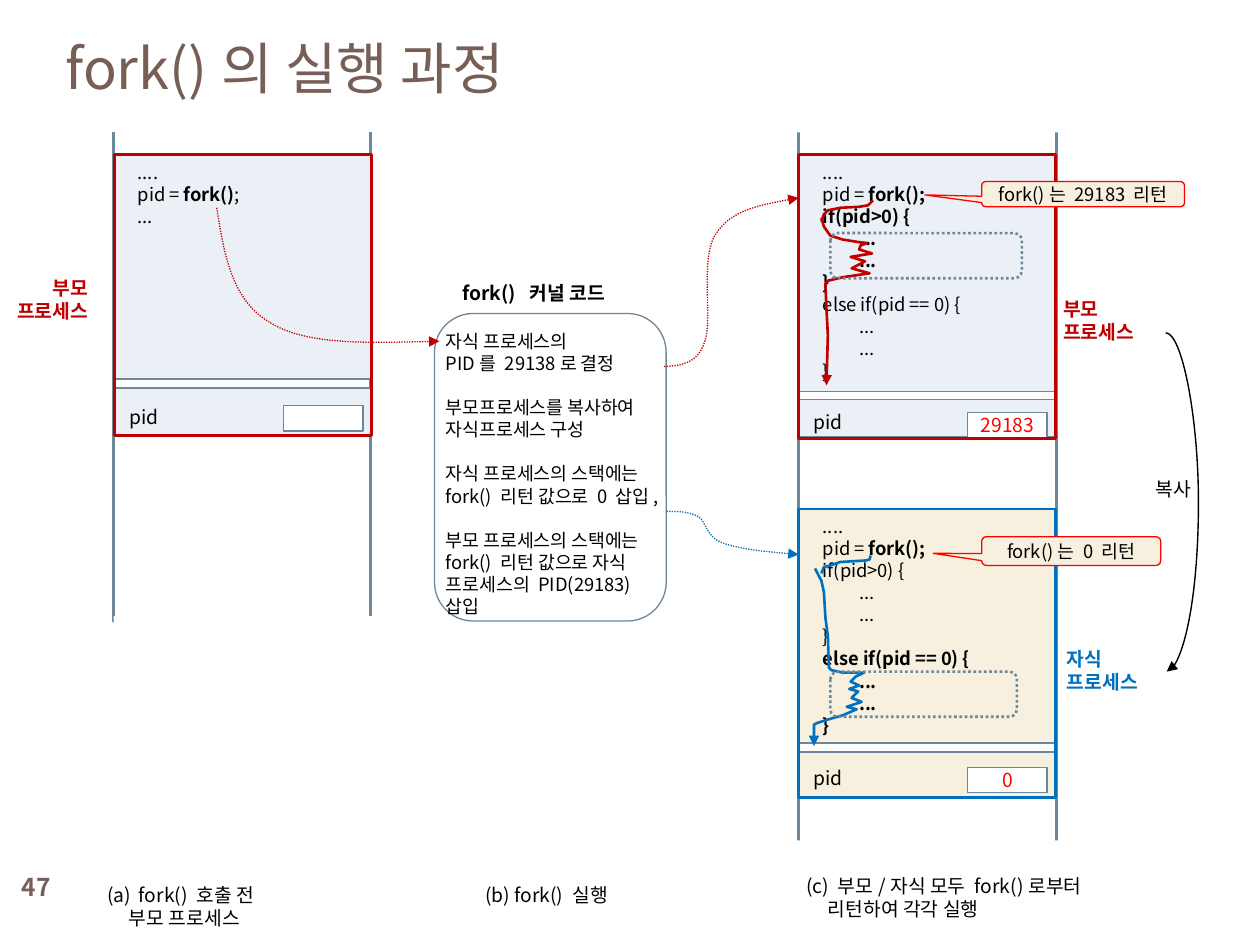
from lxml import etree
from pptx import Presentation
from pptx.dml.color import RGBColor
from pptx.enum.dml import MSO_LINE
from pptx.enum.shapes import MSO_CONNECTOR, MSO_SHAPE
from pptx.enum.text import MSO_ANCHOR, PP_ALIGN
from pptx.oxml.ns import qn
from pptx.util import Cm, Pt

FONT = "Noto Sans CJK KR"
WHITE = RGBColor(0xFF, 0xFF, 0xFF)
BLACK = RGBColor(0, 0, 0)
BROWN = RGBColor(0x77, 0x5F, 0x55)
SLATE = RGBColor(0x6D, 0x87, 0x9B)
PALE_BLUE = RGBColor(0xEA, 0xF0, 0xF6)
CREAM = RGBColor(0xF7, 0xF0, 0xDE)
DARK_RED = RGBColor(0xC0, 0, 0)
RED = RGBColor(0xFF, 0, 0)
BLUE = RGBColor(0, 0x70, 0xC0)
RECT = MSO_SHAPE.RECTANGLE
ROUND = MSO_SHAPE.ROUNDED_RECTANGLE
CALLOUT = MSO_SHAPE.ROUNDED_RECTANGULAR_CALLOUT
DOTTED = MSO_LINE.ROUND_DOT
LEFT, CENTER, RIGHT = PP_ALIGN.LEFT, PP_ALIGN.CENTER, PP_ALIGN.RIGHT
TOP, MIDDLE = MSO_ANCHOR.TOP, MSO_ANCHOR.MIDDLE

prs = Presentation()
prs.slide_width, prs.slide_height = Cm(25.4), Cm(19.05)
slide = prs.slides.add_slide(prs.slide_layouts[6])
shapes = slide.shapes


def put(text, left, top, width, height, kind=None, fill=None, line=None, weight=0.75,
        dash=None, size=11, color=BLACK, bold=False, align=LEFT, anchor=TOP,
        wrap=True, indents=(), gaps=()):
    place = Cm(left), Cm(top), Cm(width), Cm(height)
    if kind is None:
        shape = shapes.add_textbox(*place)
    else:
        shape = shapes.add_shape(kind, *place)
        shape.shadow.inherit = False
        shape.fill.background()
        shape.line.fill.background()
    if fill is not None:
        shape.fill.solid()
        shape.fill.fore_color.rgb = fill
    if line is not None:
        shape.line.color.rgb = line
        shape.line.width = Pt(weight)
        if dash is not None:
            shape.line.dash_style = dash
    frame = shape.text_frame
    frame.word_wrap, frame.vertical_anchor = wrap, anchor
    for i, words in enumerate(text.split("\n") if text else []):
        paragraph = frame.add_paragraph() if i else frame.paragraphs[0]
        paragraph.alignment = align
        paragraph.line_spacing = Pt(size * 1.2)
        if gaps:
            paragraph.space_before = Pt(gaps[i])
        if indents:
            paragraph._p.get_or_add_pPr().set("marL", str(Cm(indents[i])))
        for j, part in enumerate(words.split("*")):
            if part:
                run = paragraph.add_run()
                run.text = part
                run.font.name, run.font.size = FONT, Pt(size)
                run.font.bold = bold or j % 2 == 1
                run.font.color.rgb = color
                etree.SubElement(run._r.rPr, qn("a:ea"), typeface=FONT)
    return shape


def trace(points, color, weight=1.5, arrow=True, curved=False):
    places = [(Cm(x), Cm(y)) for x, y in points]
    builder = shapes.build_freeform(*places[0], scale=1.0)
    builder.add_line_segments(places[1:], close=False)
    route = builder.convert_to_shape()
    route.shadow.inherit = False
    route.fill.background()
    route.line.color.rgb = color
    route.line.width = Pt(weight)
    if curved:
        route.line.dash_style = DOTTED
        segments = list(route._element.iter(qn("a:lnTo")))
        for i in range(0, len(segments), 3):
            bezier = etree.Element(qn("a:cubicBezTo"))
            segments[i].addprevious(bezier)
            for segment in segments[i:i + 3]:
                bezier.append(segment[0])
                segment.getparent().remove(segment)
    if arrow:
        etree.SubElement(route.line._get_or_add_ln(), qn("a:tailEnd"), type="triangle")


put("47", 0, 17.35, 1.47, 1.07, size=14, color=BROWN, bold=True, align=CENTER, anchor=MIDDLE)
put("fork()의 실행 과정", 1.07, 0.41, 22.66, 1.88, size=32, color=BROWN, anchor=MIDDLE)

STEP, NEST = 0.24, 0.97
code_indents = [STEP, STEP, STEP, NEST, NEST, STEP, STEP, NEST, NEST, STEP]
before_code = "....\npid = *fork()*;\n..."
parent_code = ("....\npid = *fork();*\n*if(pid>0) {*\n*...*\n*...*\n*}*\n"
               "else if(pid == 0) {\n...\n...\n}")
child_code = ("....\npid = *fork();*\nif(pid>0) {\n...\n...\n}\n"
              "*else if(pid == 0) {*\n*...*\n*...*\n*}*")

put("", 2.29, 2.57, 5.18, 9.96, RECT, WHITE, SLATE, 1.5)
put("", 16.1, 2.59, 5.2, 14.55, RECT, WHITE, SLATE, 1.5)
for left, top, width, height in [(2.11, 2.13, 5.61, 0.53), (15.8, 2.34, 5.82, 0.33),
                                 (2.29, 12.42, 5.49, 0.33), (14.58, 16.94, 7.11, 0.41)]:
    put("", left, top, width, height, RECT, WHITE)

processes = [
    (2.29, 3.12, 4.52, 7.82, 0.97, 2.34, 8.05, 5.72, 8.18, before_code, "", PALE_BLUE),
    (16.1, 3.12, 4.78, 8.05, 0.76, 16.13, 8.15, 19.51, 8.31, parent_code, "29183", PALE_BLUE),
    (16.1, 10.26, 4.72, 15.16, 0.94, 16.13, 15.32, 19.51, 15.47, child_code, "0", CREAM),
]
for (left, top, code_height, data_top, data_height, pid_left, pid_top,
     value_left, value_top, code, value, tint) in processes:
    put(code, left, top, 5.2, code_height, RECT, tint, SLATE, size=10.5, indents=code_indents)
    put("", left, data_top, 5.2, data_height, RECT, tint, SLATE)
    put("pid", pid_left, pid_top, 1.12, 0.7, align=CENTER, wrap=False)
    put(value, value_left, value_top, 1.6, 0.51, RECT, WHITE, SLATE,
        color=RED, align=CENTER, anchor=MIDDLE)

put("", 8.76, 6.32, 4.67, 6.2, ROUND, line=SLATE)
put("fork()  커널 코드", 8.92, 5.54, 3.68, 0.74, bold=True, align=CENTER, wrap=False)
put("자식 프로세스의\nPID를 29138로 결정\n부모프로세스를 복사하여 자식프로세스 구성\n"
    "자식 프로세스의 스택에는 fork() 리턴 값으로 0 삽입,\n"
    "부모 프로세스의 스택에는 fork() 리턴 값으로 자식 프로세스의 PID(29183) 삽입",
    8.74, 6.53, 4.95, 5.64, size=10.5, gaps=[0, 0, 12.6, 12.6, 12.6])

put("부모\n프로세스", -0.05, 5.44, 2.08, 1.19, color=DARK_RED, bold=True, align=RIGHT, wrap=False)
put("부모\n프로세스", 21.18, 5.87, 2.31, 1.68, color=DARK_RED, bold=True)
put("자식\n프로세스", 21.26, 12.93, 2.26, 1.19, color=BLUE, bold=True)

parent_run = [(16.56, 4.39), (16.61, 4.57), (16.74, 4.75), (16.99, 4.83), (17.3, 4.88),
              (17.48, 4.9), (17.35, 4.95), (17.32, 5.03), (17.58, 5.11), (17.15, 5.18),
              (17.44, 5.27), (17.17, 5.41), (17.53, 5.51), (16.99, 5.59), (16.69, 5.66),
              (16.64, 5.72), (16.66, 6.2), (16.69, 6.76), (16.66, 7.77)]
child_run = [(16.43, 11.46), (16.56, 11.71), (16.61, 11.94), (16.64, 12.45), (16.69, 12.83),
             (16.71, 13.46), (16.76, 13.51), (16.99, 13.56), (17.42, 13.56), (17.25, 13.64),
             (17.15, 13.74), (17.32, 13.82), (17.12, 13.89), (17.3, 13.94), (17.17, 14.07),
             (17.37, 14.15), (17.07, 14.25), (17.27, 14.3), (16.99, 14.42), (16.71, 14.5),
             (16.46, 14.58), (16.41, 14.61), (16.41, 15.04)]
parent_return = [(17.6, 4.04), (17.5, 4.14), (17.32, 4.17), (16.94, 4.19), (16.69, 4.24),
                 (16.61, 4.32), (16.56, 4.47)]
child_return = [(17.55, 11.2), (17.53, 11.28), (17.45, 11.3), (16.94, 11.33), (16.74, 11.4),
                (16.61, 11.43), (16.56, 11.56)]
trace(parent_run, DARK_RED)
trace(child_run, BLUE)
put("", 16.74, 4.7, 3.86, 0.91, ROUND, line=SLATE, weight=1.5, dash=DOTTED)
put("", 16.74, 13.54, 3.76, 0.91, ROUND, line=SLATE, weight=1.5, dash=DOTTED)

call_route = [(4.37, 4.19), (4.52, 5.13), (4.67, 6.05), (5.44, 6.5),
              (6.17, 6.96), (7.52, 6.91), (8.86, 6.88)]
to_parent = [(13.39, 7.39), (13.72, 7.37), (14.05, 7.34), (14.2, 6.91), (14.38, 6.45),
             (14.1, 5.21), (14.43, 4.72), (14.73, 4.24), (15.42, 4.11), (16.1, 3.99)]
to_child = [(13.44, 10.31), (13.67, 10.31), (13.87, 10.31), (14.07, 10.41), (14.25, 10.52),
            (14.22, 10.82), (14.58, 10.95), (14.91, 11.07), (15.52, 11.13), (16.1, 11.18)]
for points, color in [(call_route, DARK_RED), (to_parent, DARK_RED), (to_child, BLUE)]:
    trace(points, color, weight=0.75, curved=True)

before_caption = put("fork() 호출 전\n부모 프로세스", 1.91, 17.68, 3.56, 1.19,
                     wrap=False, indents=[0.64, 0.44])
numbering = before_caption.text_frame.paragraphs[0]._p.pPr
numbering.set("indent", str(-Cm(0.64)))
etree.SubElement(numbering, qn("a:buAutoNum"), type="alphaLcParenBoth")
put("(b) fork() 실행", 9.53, 17.68, 4.57, 0.74)
put("(c) 부모/자식 모두 fork()로부터\n리턴하여 각각 실행", 16, 17.5, 6.12, 1.19,
    wrap=False, indents=[0, 0.44])

copy_arrow = shapes.add_connector(MSO_CONNECTOR.CURVE, Cm(23.5), Cm(6.71), Cm(23.52), Cm(13.54))
copy_arrow.line.color.rgb = BLACK
copy_arrow.line.width = Pt(0.79)
etree.SubElement(copy_arrow.line._get_or_add_ln(), qn("a:tailEnd"), type="triangle")
etree.SubElement(copy_arrow._element.spPr, qn("a:effectLst"))
bend = copy_arrow._element.spPr.prstGeom.get_or_add_avLst()
etree.SubElement(bend, qn("a:gd"), name="adj1", fmla="val 3300000")
put("복사", 23.01, 9.5, 1.3, 0.74, align=CENTER, wrap=False)

for left, top, height, color in [(16.1, 3.12, 5.72, DARK_RED), (2.31, 3.12, 5.66, DARK_RED),
                                 (16.1, 10.26, 5.82, BLUE)]:
    put("", left, top, 5.18, height, RECT, line=color, weight=1.5)

for words, top, width, height, tip in [("fork()는 0 리턴", 10.82, 3.61, 0.58, (-0.77, 0.08)),
                                       ("fork()는 29183 리턴", 3.66, 4.09, 0.51, (-0.78, 0.03))]:
    callout = put(words, 19.79, top, width, height, CALLOUT, CREAM, RED, size=10.5,
                  align=CENTER, anchor=MIDDLE)
    callout.adjustments[0], callout.adjustments[1] = tip

trace(parent_return, DARK_RED, arrow=False)
trace(child_return, BLUE, arrow=False)
prs.save("out.pptx")
